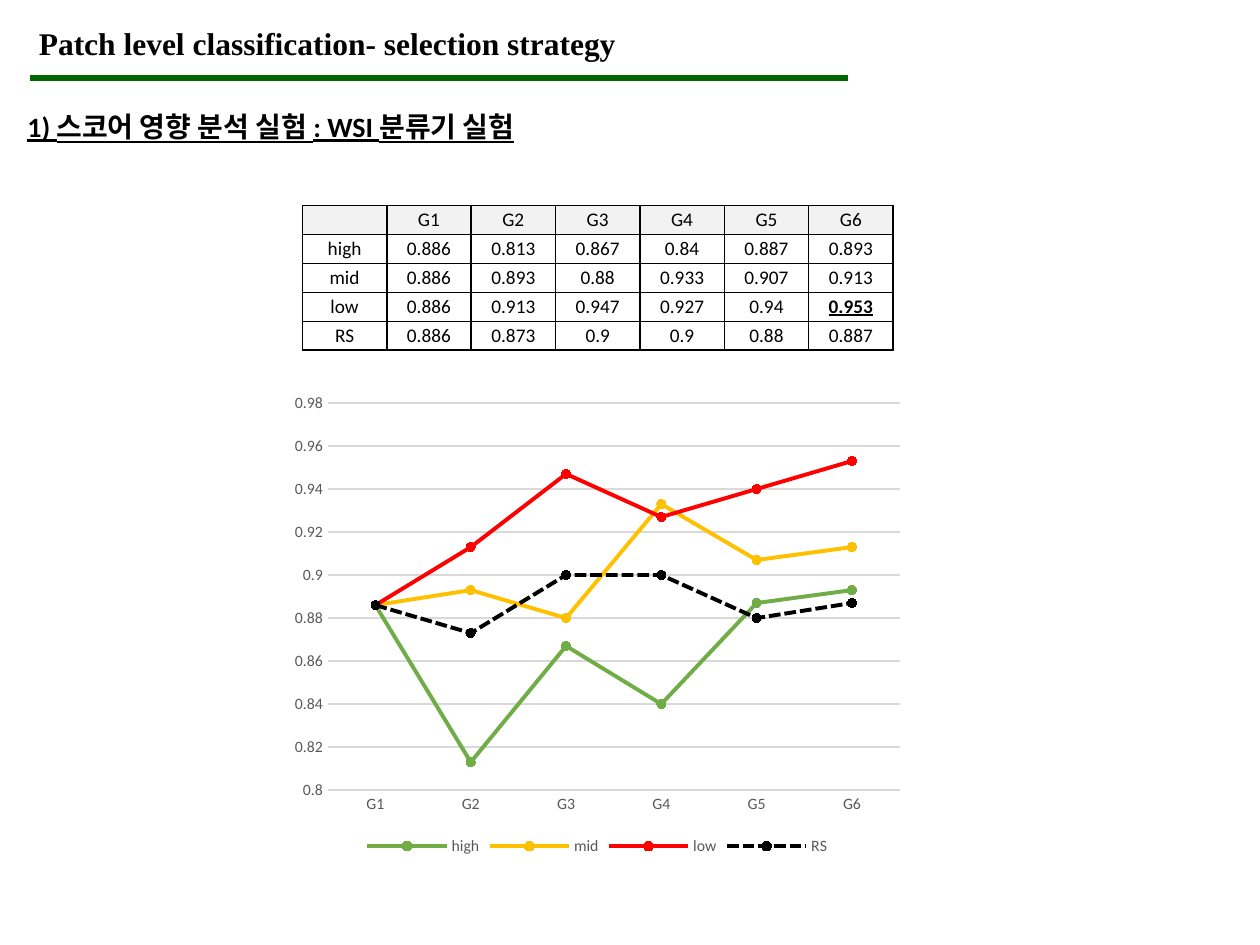
from lxml.etree import SubElement
from pptx import Presentation
from pptx.chart.data import CategoryChartData
from pptx.dml.color import RGBColor
from pptx.enum.chart import (XL_CHART_TYPE, XL_LEGEND_POSITION,
                             XL_MARKER_STYLE, XL_TICK_MARK)
from pptx.enum.dml import MSO_LINE
from pptx.enum.shapes import MSO_CONNECTOR
from pptx.enum.text import MSO_ANCHOR, MSO_AUTO_SIZE, PP_ALIGN
from pptx.oxml.ns import qn
from pptx.util import Inches, Pt

COLORS = {
    "black": "000000", "white": "FFFFFF", "rule": "006600",
    "head": "F2F2F2", "grid": "D9D9D9", "label": "595959",
    "high": "70AD47", "mid": "FFC000", "low": "FF0000", "RS": "000000",
}
GROUPS = ["G1", "G2", "G3", "G4", "G5", "G6"]
SCORES = {
    "high": [0.886, 0.813, 0.867, 0.84, 0.887, 0.893],
    "mid": [0.886, 0.893, 0.88, 0.933, 0.907, 0.913],
    "low": [0.886, 0.913, 0.947, 0.927, 0.94, 0.953],
    "RS": [0.886, 0.873, 0.9, 0.9, 0.88, 0.887],
}
BEST = max(max(vals) for vals in SCORES.values())


def color(name):
    return RGBColor.from_string(COLORS[name])


def set_font(font, size, name="Calibri", tint="black", bold=False,
             under=False):
    font.name, font.size = name, Pt(size)
    font.bold, font.underline = bold, under
    font.color.rgb = color(tint)


def set_line(line, tint, width):
    line.color.rgb = color(tint)
    line.width = Pt(width)


def add_text(slide, text, box, size, spacing=None, **style):
    shape = slide.shapes.add_textbox(*map(Inches, box))
    frame = shape.text_frame
    frame.word_wrap = True
    frame.auto_size = MSO_AUTO_SIZE.SHAPE_TO_FIT_TEXT
    para = frame.paragraphs[0]
    para.text = text
    para.line_spacing = spacing
    set_font(para.font, size, bold=True, **style)


def add_rule(slide, left, right, top):
    rule = slide.shapes.add_connector(
        MSO_CONNECTOR.STRAIGHT, Inches(left), Inches(top),
        Inches(right), Inches(top))
    set_line(rule.line, "rule", 3)
    SubElement(rule._element.spPr, qn("a:effectLst"))


def add_border(cell):
    props = cell._tc.get_or_add_tcPr()
    for side in ("a:lnL", "a:lnR", "a:lnT", "a:lnB"):
        edge = SubElement(props, qn(side), w=str(Pt(1)))
        fill = SubElement(edge, qn("a:solidFill"))
        SubElement(fill, qn("a:srgbClr"), val=COLORS["black"])


def fill_cell(cell, value, tint):
    add_border(cell)
    cell.fill.solid()
    cell.fill.fore_color.rgb = color(tint)
    cell.vertical_anchor = MSO_ANCHOR.MIDDLE
    cell.margin_left = cell.margin_right = 0
    cell.margin_top = cell.margin_bottom = 0
    para = cell.text_frame.paragraphs[0]
    para.text = str(value)
    para.alignment = PP_ALIGN.CENTER
    best = value == BEST
    set_font(para.font, 11, bold=best, under=best)


def add_scores(slide, left, top, width, height):
    rows = [["", *GROUPS]] + [[key, *vals] for key, vals in SCORES.items()]
    table = slide.shapes.add_table(
        len(rows), len(rows[0]), Inches(left), Inches(top),
        Inches(width), Inches(height)).table
    for r, row in enumerate(rows):
        for c, value in enumerate(row):
            fill_cell(table.cell(r, c), value, "white" if r else "head")


def style_axis(axis):
    axis.major_tick_mark = axis.minor_tick_mark = XL_TICK_MARK.NONE
    set_font(axis.tick_labels.font, 9, tint="label")


def style_series(series):
    tint = series.name
    series.smooth = False
    set_line(series.format.line, tint, 2.25)
    if tint == "RS":
        series.format.line.dash_style = MSO_LINE.SQUARE_DOT
    mark = series.marker
    mark.style, mark.size = XL_MARKER_STYLE.CIRCLE, 5
    mark.format.fill.solid()
    mark.format.fill.fore_color.rgb = color(tint)
    set_line(mark.format.line, tint, 0.75)


def add_plot(slide, box):
    data = CategoryChartData()
    data.categories = GROUPS
    for key, vals in SCORES.items():
        data.add_series(key, vals)
    chart = slide.shapes.add_chart(
        XL_CHART_TYPE.LINE_MARKERS, *map(Inches, box), data).chart
    set_font(chart.font, 10)
    chart.has_title = False
    chart.plots[0].vary_by_categories = False
    for series in chart.plots[0].series:
        style_series(series)

    # Axes
    cat, val = chart.category_axis, chart.value_axis
    style_axis(cat)
    style_axis(val)
    set_line(cat.format.line, "grid", 0.75)
    val.format.line.fill.background()
    val.minimum_scale, val.maximum_scale = 0.8, 0.98
    val.major_unit = 0.02
    val.tick_labels.number_format = "General"
    val.tick_labels.number_format_is_linked = False
    set_line(val.major_gridlines.format.line, "grid", 0.75)

    # Legend
    chart.has_legend = True
    chart.legend.position = XL_LEGEND_POSITION.BOTTOM
    chart.legend.include_in_layout = False
    set_font(chart.legend.font, 9, tint="label")


def main():
    deck = Presentation()
    deck.slide_width, deck.slide_height = Inches(10), Inches(7.5)
    slide = deck.slides.add_slide(deck.slide_layouts[6])

    # Headings
    add_rule(slide, 0.24, 6.73, 0.62)
    add_text(slide, "Patch level classification- selection strategy",
             (0.21, 0.14, 7.08, 0.4), 18, name="Times New Roman")
    add_text(slide, "1) 스코어 영향 분석 실험 : WSI 분류기 실험",
             (0.12, 0.69, 7.67, 0.5), 16, spacing=1.5, under=True)

    # Results
    add_scores(slide, 2.4, 1.63, 4.69, 1.15)
    add_plot(slide, (2.24, 3.05, 5, 3.78))
    deck.save("out.pptx")


if __name__ == "__main__":
    main()
